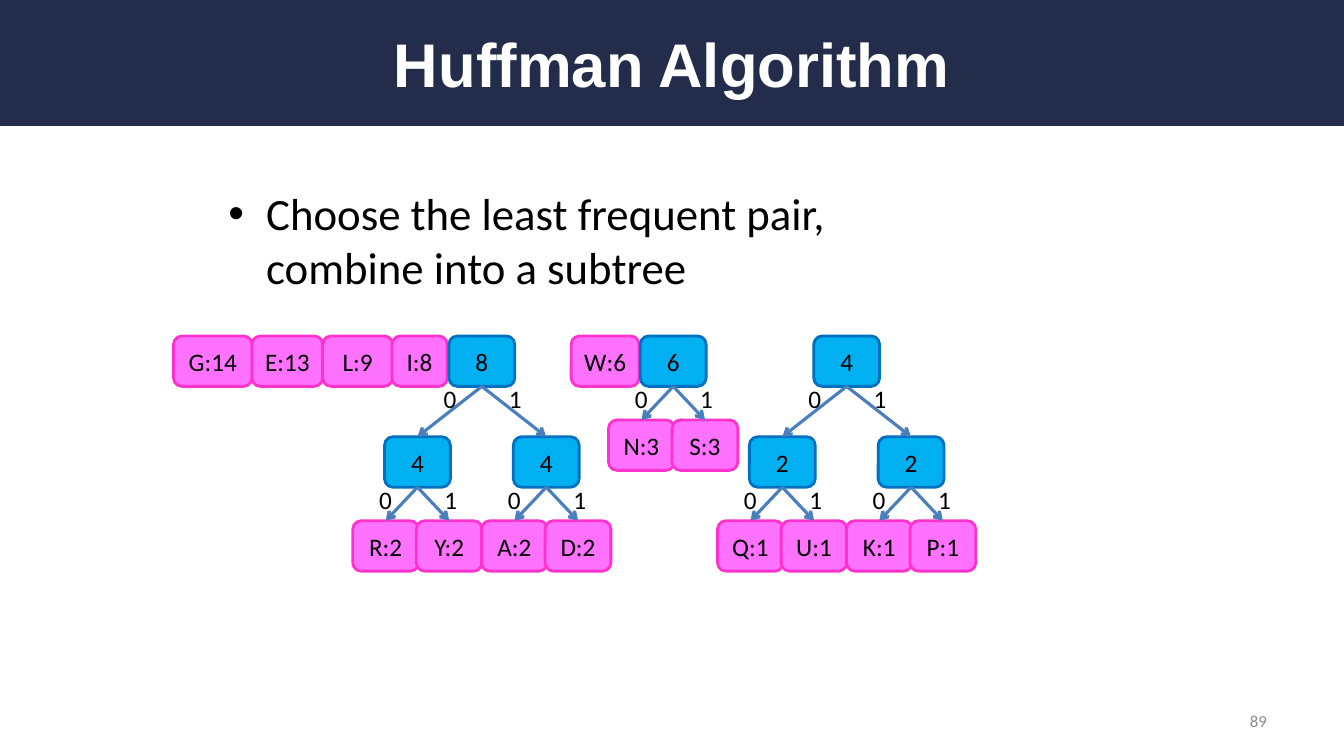
from lxml import etree
from pptx import Presentation
from pptx.dml.color import RGBColor
from pptx.enum import shapes, text
from pptx.oxml import ns
from pptx.util import Pt

NAVY = RGBColor(0x23, 0x2D, 0x4B)
WHITE = RGBColor(0xFF, 0xFF, 0xFF)
BLACK = RGBColor(0, 0, 0)
GRAY = RGBColor(0x8C, 0x8C, 0x8C)
PINK = RGBColor(0xFF, 0x71, 0xFF)
PINK_EDGE = RGBColor(0xFF, 0x33, 0xCC)
SKY = RGBColor(0, 0xB0, 0xF0)
SKY_EDGE = RGBColor(0, 0x70, 0xC0)
ARROW = RGBColor(0x4B, 0x7E, 0xBC)

NODE_WIDTH, NODE_HEIGHT = 47, 36
LEAF_DROP, BRANCH_DROP = 60, 72
LEAF_SPREAD, BRANCH_SPREAD = 22.7, 46
FOREST_LEFT, FOREST_TOP = 124, 240

LEAVES = [("G:14", 0, 56), ("E:13", 56, 50.5), ("L:9", 106.5, 50),
          ("I:8", 156, 39.5), ("W:6", 284, 48.5)]
TREES = [
    (480.9, ("6", "N:3", "S:3")),
    (604.8, ("4", ("2", "Q:1", "U:1"), ("2", "K:1", "P:1"))),
    (344.2, ("8", ("4", "R:2", "Y:2"), ("4", "A:2", "D:2"))),
]


def add_child(parent, tag, **attributes):
    return etree.SubElement(parent, ns.qn(tag), attributes)


def set_text(shape, words, align, frame_format=None, **font_format):
    frame = shape.text_frame
    for name, value in (frame_format or {}).items():
        setattr(frame, name, value)
    paragraph = frame.paragraphs[0]
    paragraph.text = words
    paragraph.alignment = align
    font = paragraph.runs[0].font
    font.color.rgb = font_format.pop("color", BLACK)
    for name, value in {"name": "Calibri", "size": Pt(18), **font_format}.items():
        setattr(font, name, value)
    return paragraph


def add_text(slide, words, box, align, frame_format, **font_format):
    shape = slide.shapes.add_textbox(*map(Pt, box))
    return set_text(shape, words, align, frame_format, **font_format)


def add_header(slide, left, top, width, height):
    band = slide.shapes.add_shape(shapes.MSO_SHAPE.RECTANGLE,
                                  *map(Pt, (left, top, width, height)))
    band.shadow.inherit = False
    band.fill.solid()
    band.fill.fore_color.rgb = NAVY
    band.line.fill.background()
    title = slide.shapes.title
    band._element.addnext(title._element)
    title.left, title.top = Pt(left + 48), Pt(top + 12)
    title.width, title.height = Pt(width - 96), Pt(height - 24)
    set_text(title, "Huffman Algorithm", text.PP_ALIGN.CENTER,
             {"vertical_anchor": text.MSO_ANCHOR.MIDDLE,
              "auto_size": text.MSO_AUTO_SIZE.NONE},
             name="Arial", size=Pt(44), bold=True, color=WHITE)


def add_body(slide, left, top, width, height):
    paragraph = add_text(
        slide, "Choose the least frequent pair, combine into a subtree",
        (left, top, width, height), text.PP_ALIGN.LEFT,
        {"word_wrap": True, "vertical_anchor": text.MSO_ANCHOR.MIDDLE}, size=Pt(32))
    properties = paragraph._p.get_or_add_pPr()
    properties.set("marL", str(Pt(27)))
    properties.set("indent", str(-Pt(27)))
    add_child(properties, "a:buFont", typeface="Arial")
    add_child(properties, "a:buChar", char="•")


def add_node(slide, label, left, top, width, fill, edge):
    node = slide.shapes.add_shape(shapes.MSO_SHAPE.ROUNDED_RECTANGLE,
                                  *map(Pt, (left, top, width, NODE_HEIGHT)))
    node.shadow.inherit = False
    node.fill.solid()
    node.fill.fore_color.rgb = fill
    node.line.color.rgb = edge
    node.line.width = Pt(2)
    set_text(node, label, text.PP_ALIGN.CENTER,
             {"word_wrap": False, "vertical_anchor": text.MSO_ANCHOR.MIDDLE})
    return node


def add_arrow(slide, parent, child):
    arrow = slide.shapes.add_connector(shapes.MSO_CONNECTOR.STRAIGHT, 0, 0, 0, 0)
    arrow.begin_connect(parent, 2)
    arrow.end_connect(child, 0)
    arrow.line.color.rgb = ARROW
    arrow.line.width = Pt(2.25)
    add_child(arrow.line._get_or_add_ln(), "a:tailEnd", type="arrow")
    add_child(arrow._element.spPr, "a:effectLst")


def add_tree(slide, tree, center, top):
    left = center - NODE_WIDTH / 2
    if isinstance(tree, str):
        return add_node(slide, tree, left, top, NODE_WIDTH, PINK, PINK_EDGE)
    label, *branches = tree
    has_leaves = isinstance(branches[0], str)
    drop = LEAF_DROP if has_leaves else BRANCH_DROP
    spread = LEAF_SPREAD if has_leaves else BRANCH_SPREAD
    children = [add_tree(slide, branch, center + side * spread, top + drop)
                for side, branch in zip((-1, 1), branches)]
    parent = add_node(slide, label, left, top, NODE_WIDTH, SKY, SKY_EDGE)
    for child in children:
        add_arrow(slide, parent, child)
    for bit, offset in (("0", -34.5), ("1", 12.2)):
        add_text(slide, bit, (center + offset, top + NODE_HEIGHT - 5.4, 24, 29),
                 text.PP_ALIGN.LEFT, {"word_wrap": False})
    return parent


def add_forest(slide, left, top):
    for label, offset, width in LEAVES:
        add_node(slide, label, left + offset, top, width, PINK, PINK_EDGE)
    for center, tree in TREES:
        add_tree(slide, tree, center, top)


def add_page_number(slide, left, top, width, height):
    add_text(slide, "89", (left, top, width, height), text.PP_ALIGN.RIGHT,
             {"word_wrap": True, "vertical_anchor": text.MSO_ANCHOR.MIDDLE},
             size=Pt(12), color=GRAY)


def main():
    presentation = Presentation()
    presentation.slide_width, presentation.slide_height = Pt(960), Pt(540)
    slide = presentation.slides.add_slide(presentation.slide_layouts[5])
    add_header(slide, 0, 0, 960, 90)
    add_body(slide, 156, 126, 533, 90)
    add_page_number(slide, 688, 500.5, 224, 29)
    add_forest(slide, FOREST_LEFT, FOREST_TOP)
    presentation.save("out.pptx")


if __name__ == "__main__":
    main()
